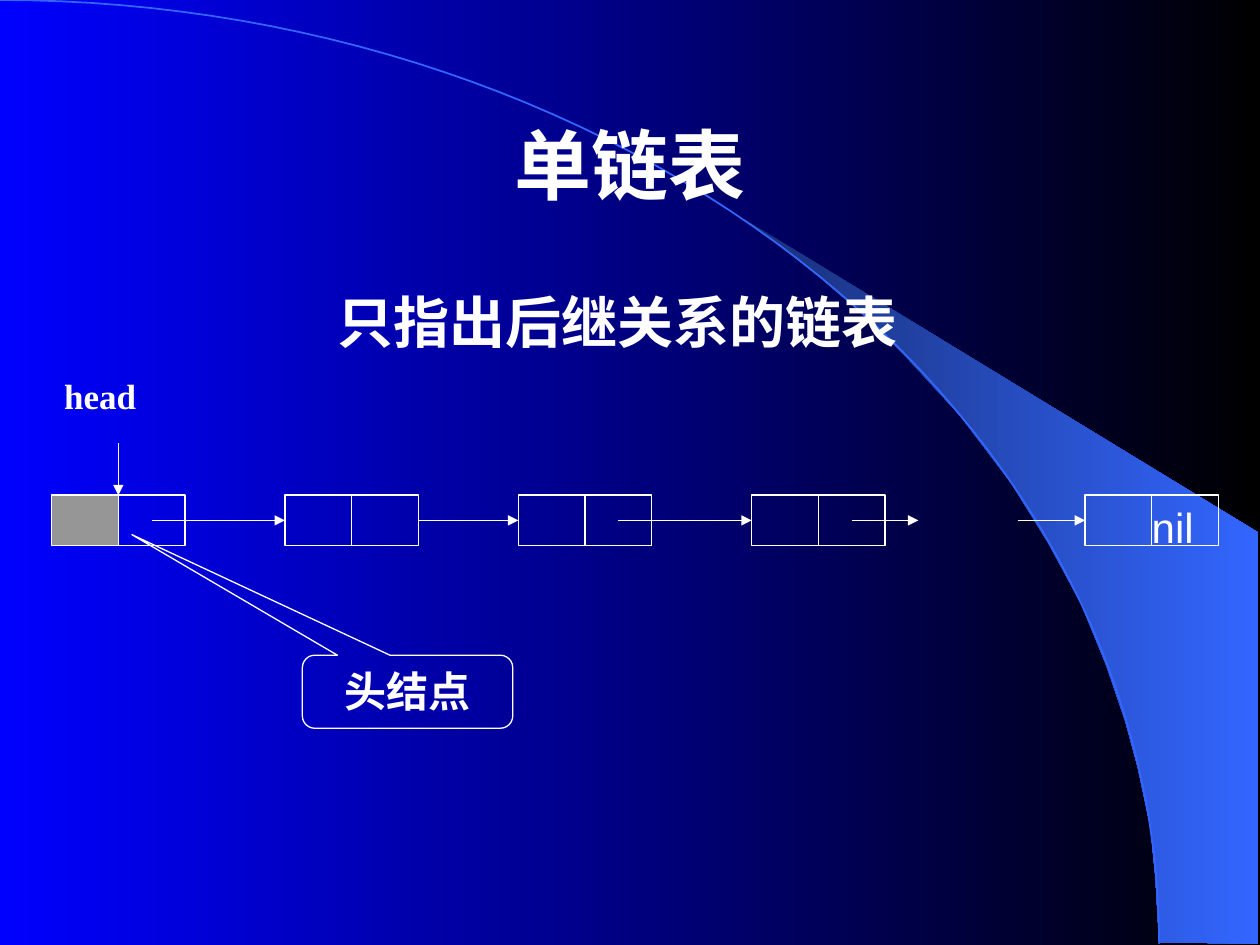
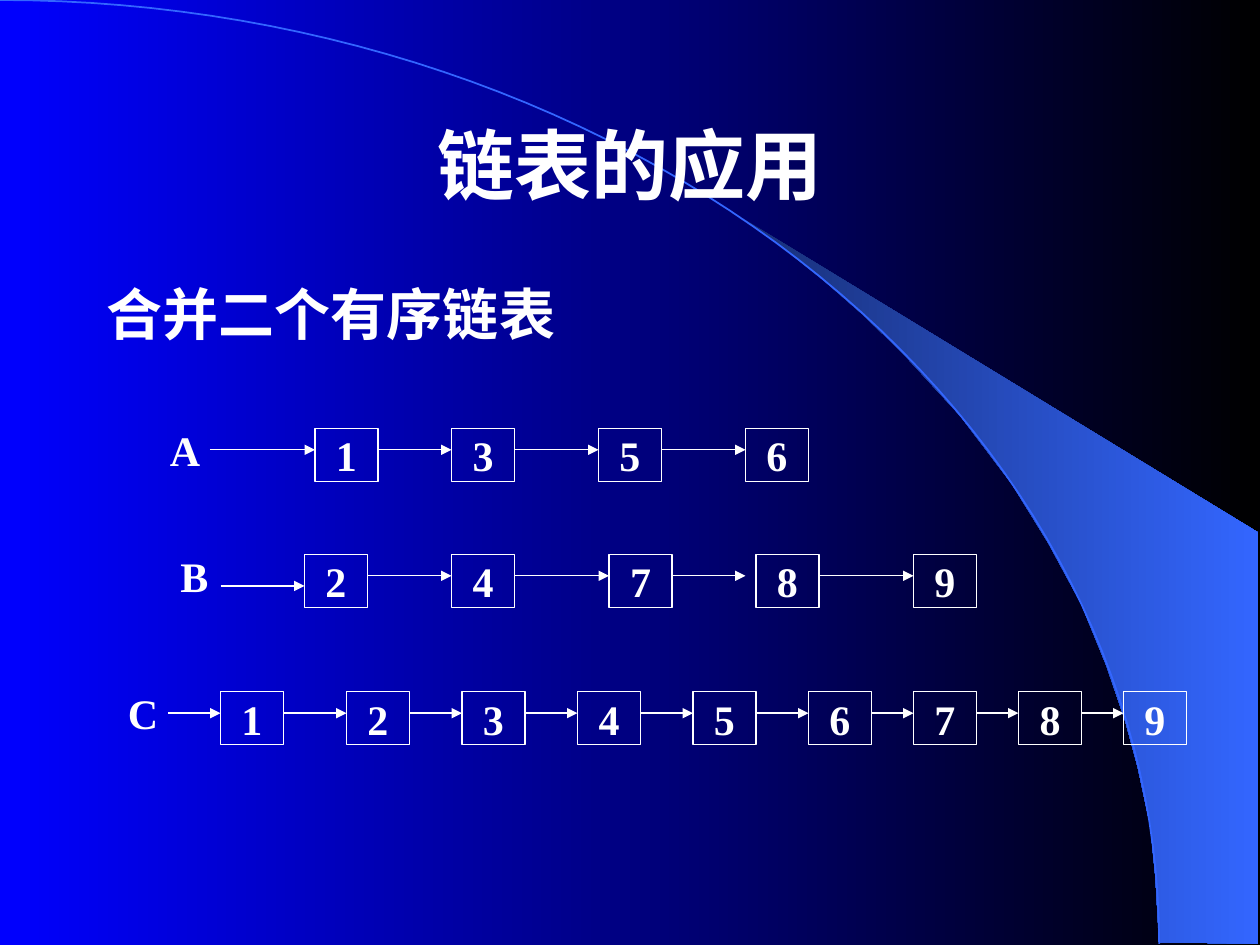
from math import cos, pi, sin

from lxml.etree import SubElement
from pptx import Presentation
from pptx.dml.color import RGBColor
from pptx.enum.shapes import MSO_CONNECTOR, MSO_SHAPE
from pptx.enum.text import MSO_ANCHOR, PP_ALIGN
from pptx.oxml.ns import qn
from pptx.util import Inches, Pt

# Shared style
WHITE = RGBColor(0xFF, 0xFF, 0xFF)
BLUE = RGBColor(0x00, 0x00, 0xFF)
BLACK = RGBColor(0x00, 0x00, 0x00)
NAVY = RGBColor(0x18, 0x2F, 0x76)
SKY = RGBColor(0x33, 0x66, 0xFF)
GREY = RGBColor(0x96, 0x96, 0x96)
SANS, SERIF = "Arial", "Times New Roman"
SLIDE_WIDTH, SLIDE_HEIGHT = 10, 7.5

# Background beam and arc
BEAM = [(9.2, 7.48), (9.99, 7.49), (9.99, 4.23), (5.89, 1.73), (6.24, 1.99),
        (6.53, 2.22), (6.85, 2.5), (7.16, 2.8), (7.62, 3.3), (8.03, 3.84),
        (8.32, 4.31), (8.58, 4.79), (8.78, 5.28), (8.93, 5.72),
        (9.03, 6.09), (9.13, 6.56), (9.17, 6.96)]
ARC_WIDTH, ARC_HEIGHT, ARC_STEPS = 9.2, 7.49, 60

# Slide 1: a row of two-cell nodes, positions counted in cells
ROW_LEFT, ROW_TOP, CELL_HEIGHT = 0.41, 3.93, 0.4
CELL_WIDTH = (9.67 - ROW_LEFT) / 17.5
NODE_STARTS = [0, 3.5, 7, 10.5, 15.5]
NODE_ARROWS = [(1.5, 3.5), (5.5, 7), (8.5, 10.5), (12, 13), (14.5, 15.5)]

# Slide 2: sorted lists, columns are twelfths of an inch
COLUMN = 1 / 12
BOX_COLUMNS, BOX_HEIGHT, ARROW_DROP = 6, 0.42, 0.17
LISTS = [
    {"name": "A", "top": 3.4, "label": 15, "start": 20,
     "nodes": [(1, 30), (3, 43), (5, 57), (6, 71)]},
    {"name": "B", "top": 4.4, "label": 16, "start": 21, "first_drop": 0.25,
     "nodes": [(2, 29), (4, 43), (7, 58), (8, 72), (9, 87)], "tips": {8: 71}},
    {"name": "C", "top": 5.49, "label": 11, "start": 16,
     "nodes": [(1, 21), (2, 33), (3, 44), (4, 55), (5, 66),
               (6, 77), (7, 87), (8, 97), (9, 107)]},
]


def set_gradient(fill, first, last):
    fill.gradient()
    fill.gradient_angle = 0
    for stop, color in zip(fill.gradient_stops, (first, last)):
        stop.color.rgb = color


def add_outline(slide, points, close):
    (left, top), *rest = [(Inches(x), Inches(y)) for x, y in points]
    builder = slide.shapes.build_freeform(left, top)
    builder.add_line_segments(rest, close=close)
    shape = builder.convert_to_shape()
    shape.shadow.inherit = False
    return shape


def write(shape, text, size, font=SERIF, bold=True, align=PP_ALIGN.LEFT,
          anchor=MSO_ANCHOR.TOP, wrap=True, side_inset=0.1):
    frame = shape.text_frame
    frame.word_wrap = wrap
    frame.vertical_anchor = anchor
    frame.margin_left = frame.margin_right = Inches(side_inset)
    frame.margin_top = frame.margin_bottom = Inches(0.05)
    paragraph = frame.paragraphs[0]
    paragraph.alignment = align
    run = paragraph.add_run()
    run.text = text
    run.font.size = Pt(size)
    run.font.name = font
    run.font.bold = bold
    run.font.color.rgb = WHITE


def add_text(slide, box, text, size, **style):
    shape = slide.shapes.add_textbox(*[Inches(value) for value in box])
    write(shape, text, size, **style)


def add_box(slide, box, kind=MSO_SHAPE.RECTANGLE, fill=None):
    shape = slide.shapes.add_shape(kind, *[Inches(value) for value in box])
    shape.shadow.inherit = False
    shape.line.color.rgb = WHITE
    shape.line.width = Pt(0.75)
    if fill is None:
        shape.fill.background()
    else:
        shape.fill.solid()
        shape.fill.fore_color.rgb = fill
    return shape


def add_arrow(slide, start, end):
    arrow = slide.shapes.add_connector(
        MSO_CONNECTOR.STRAIGHT, *[Inches(value) for value in (*start, *end)])
    arrow.line.color.rgb = WHITE
    arrow.line.width = Pt(0.75)
    SubElement(arrow.line._get_or_add_ln(), qn("a:tailEnd"), type="triangle")
    SubElement(arrow._element.spPr, qn("a:effectLst"))
    return arrow


def add_slide(presentation, title):
    slide = presentation.slides.add_slide(presentation.slide_layouts[6])
    set_gradient(slide.background.fill, BLUE, BLACK)
    beam = add_outline(slide, BEAM, close=True)
    set_gradient(beam.fill, NAVY, SKY)
    beam.line.fill.background()
    angles = [pi / 2 * step / ARC_STEPS for step in range(ARC_STEPS + 1)]
    arc = add_outline(slide, [(ARC_WIDTH * sin(angle), ARC_HEIGHT * (1 - cos(angle)))
                              for angle in angles], close=False)
    arc.fill.background()
    arc.line.color.rgb = SKY
    arc.line.width = Pt(1)
    add_text(slide, (0.75, 0.67, 8.5, 1.25), title, 44, font=SANS,
             align=PP_ALIGN.CENTER, anchor=MSO_ANCHOR.MIDDLE)
    return slide


def build_single_list(presentation):
    slide = add_slide(presentation, "单链表")

    # Nodes
    cells = {}
    for position in [start + part for start in NODE_STARTS for part in (0, 1)]:
        box = (ROW_LEFT + position * CELL_WIDTH, ROW_TOP, CELL_WIDTH, CELL_HEIGHT)
        cells[position] = add_box(slide, box, fill=GREY if position == 0 else None)
    write(cells[NODE_STARTS[-1] + 1], "nil", 24, font=SANS, bold=False, side_inset=0)

    # Links, joined where they meet the side of a cell
    middle = ROW_TOP + CELL_HEIGHT / 2
    for start, end in NODE_ARROWS:
        arrow = add_arrow(slide, (ROW_LEFT + start * CELL_WIDTH, middle),
                          (ROW_LEFT + end * CELL_WIDTH, middle))
        if start - 1 in cells:
            arrow.begin_connect(cells[start - 1], 3)
        if end in cells:
            arrow.end_connect(cells[end], 1)

    # Head pointer and labels
    add_text(slide, (ROW_LEFT, 2.92, 1.32, 0.61), "head", 20, align=PP_ALIGN.JUSTIFY)
    pointer = ROW_LEFT + CELL_WIDTH
    add_arrow(slide, (pointer, 3.52), (pointer, ROW_TOP))
    callout = add_box(slide, (2.4, 5.2, 1.67, 0.58), MSO_SHAPE.ROUNDED_RECTANGULAR_CALLOUT)
    for index, value in enumerate((-1.31, -2.15, 0.17)):
        callout.adjustments[index] = value
    write(callout, "头结点", 24, align=PP_ALIGN.CENTER)
    add_text(slide, (1.73, 2.23, 6.35, 0.64), "只指出后继关系的链表", 32,
             font=SANS, align=PP_ALIGN.CENTER)


def build_merge(presentation):
    slide = add_slide(presentation, "链表的应用")
    add_text(slide, (0.75, 2.17, 8.5, 0.83), "合并二个有序链表", 32)

    for row in LISTS:
        top = row["top"]
        add_text(slide, (row["label"] * COLUMN, top - 0.08, 0.5, 0.5), row["name"], 24)
        start, drop = row["start"], row.get("first_drop", ARROW_DROP)
        for number, column in row["nodes"]:
            box = add_box(slide, (column * COLUMN, top, BOX_COLUMNS * COLUMN, BOX_HEIGHT))
            write(box, str(number), 24, align=PP_ALIGN.CENTER,
                  anchor=MSO_ANCHOR.MIDDLE, wrap=False)
            tip = row.get("tips", {}).get(number, column)
            add_arrow(slide, (start * COLUMN, top + drop), (tip * COLUMN, top + drop))
            start, drop = column + BOX_COLUMNS, ARROW_DROP


def main():
    presentation = Presentation()
    presentation.slide_width = Inches(SLIDE_WIDTH)
    presentation.slide_height = Inches(SLIDE_HEIGHT)
    build_single_list(presentation)
    build_merge(presentation)
    presentation.save("out.pptx")


if __name__ == "__main__":
    main()
